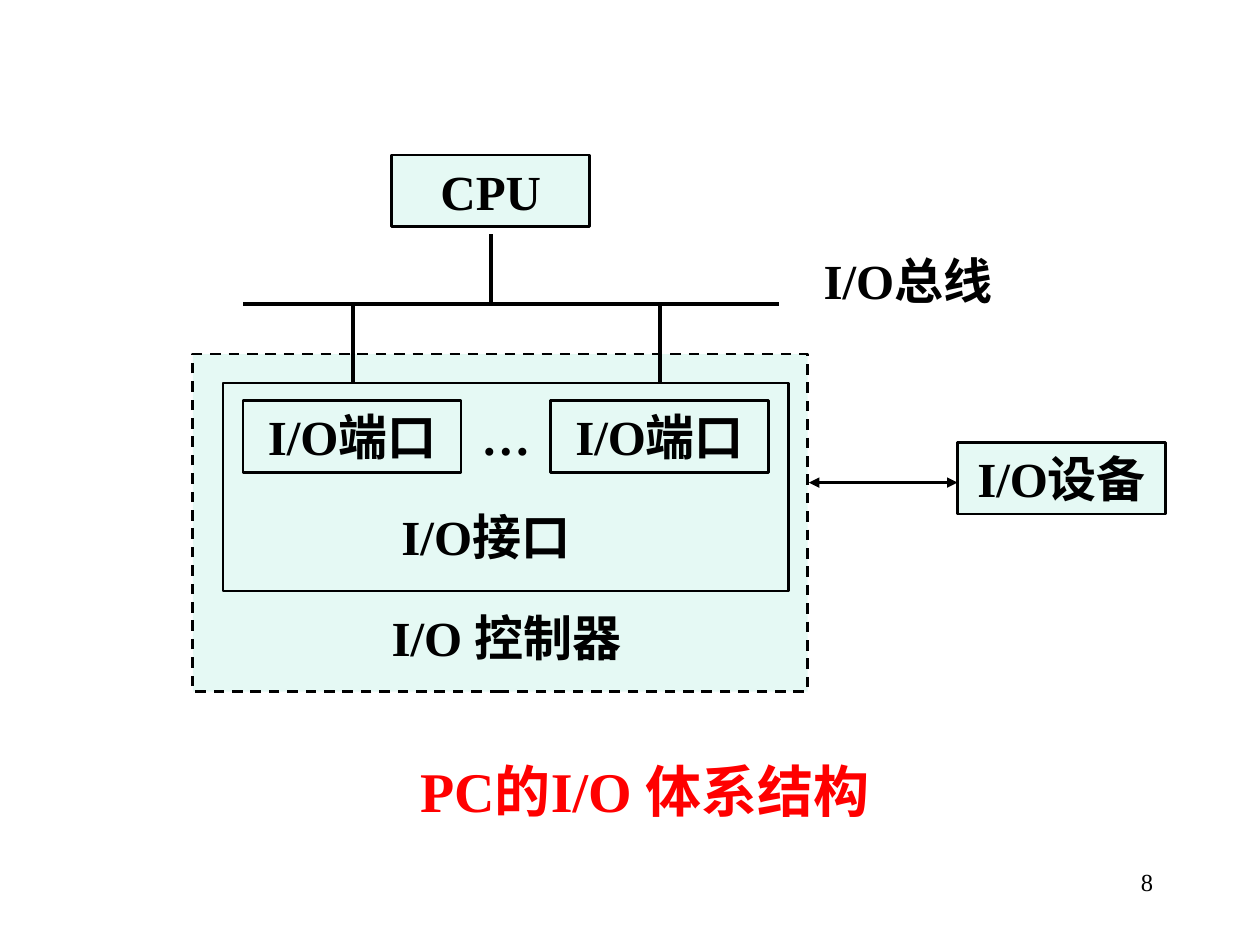
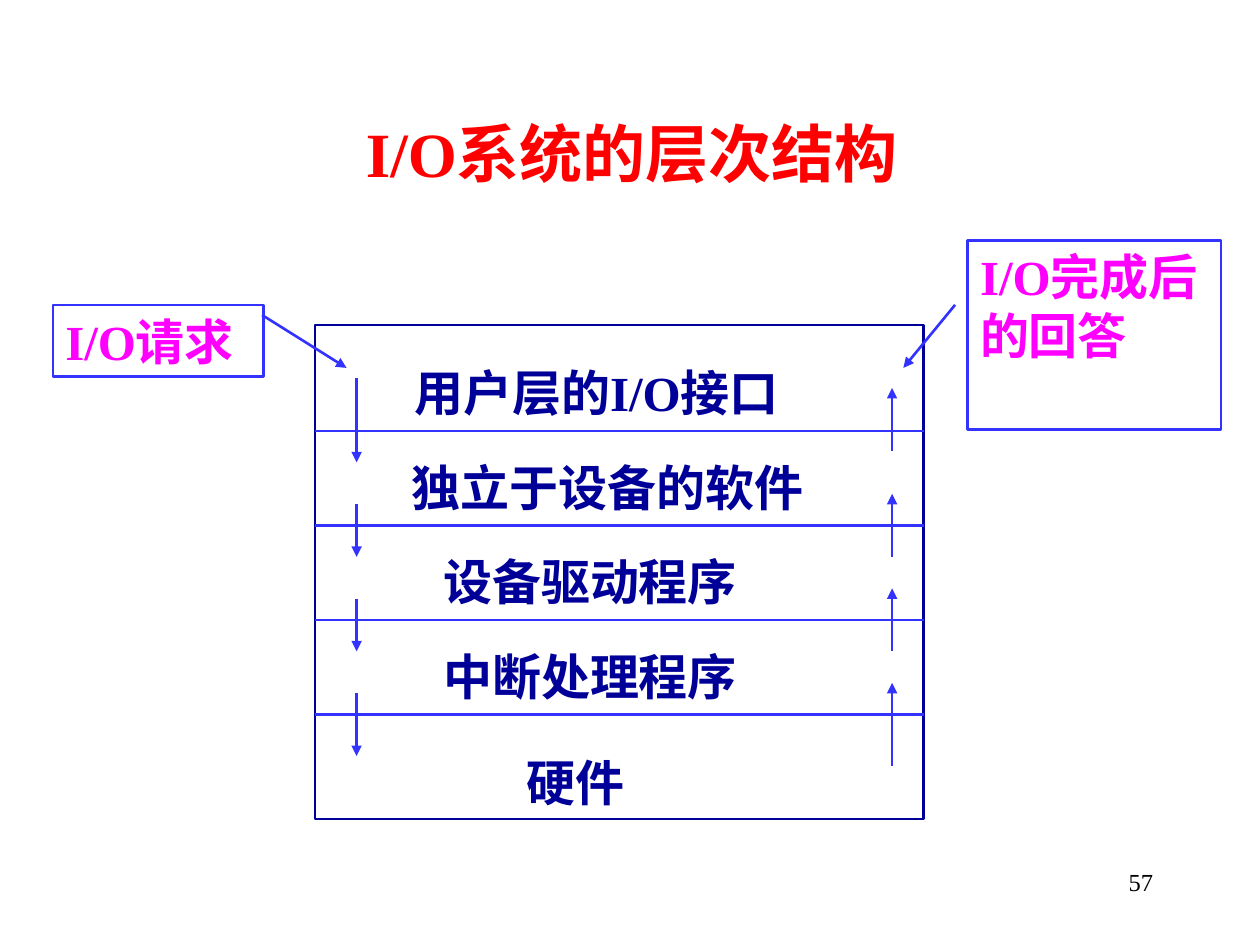
from pptx import Presentation
from pptx.dml.color import RGBColor as Color
from pptx.enum.dml import MSO_LINE_DASH_STYLE as Dash
from pptx.enum.shapes import MSO_CONNECTOR_TYPE as Link, MSO_SHAPE as Preset
from pptx.enum.text import MSO_ANCHOR as Anchor, MSO_AUTO_SIZE as Fit, PP_ALIGN as Align
from pptx.oxml.ns import qn
from pptx.util import Pt
from lxml.etree import SubElement

PX = 9144
COLORS = {
    "black": "000000",
    "white": "FFFFFF",
    "mint": "00CC99",
    "red": "FF0000",
    "navy": "000099",
    "blue": "3333FF",
    "magenta": "FF00FF",
}
MARGINS = {"margin_left": 10, "margin_right": 10, "margin_top": 5, "margin_bottom": 5}
TITLE_ONLY = 5


def color(name):
    return Color.from_string(COLORS[name])


class Sketch:
    font_format = {"name": "Times New Roman", "size": Pt(28), "bold": True}

    def __init__(self, width, height):
        self.deck = Presentation()
        self.deck.slide_width, self.deck.slide_height = width * PX, height * PX
        self.page = None

    def new_page(self, number):
        layout = self.deck.slide_layouts[TITLE_ONLY]
        self.page = self.deck.slides.add_slide(layout)
        self.label(str(number), (717, 683, 208, 50), align=Align.RIGHT,
                   fit=Fit.NONE, size=Pt(14), bold=False)

    def fill_text(self, box, text, ink="black", align=Align.CENTER, anchor=Anchor.TOP,
                  fit=Fit.SHAPE_TO_FIT_TEXT, **changes):
        frame = box.text_frame
        frame.text = text
        frame_format = {"word_wrap": True, "auto_size": fit, "vertical_anchor": anchor}
        frame_format.update({side: gap * PX for side, gap in MARGINS.items()})
        for key, value in frame_format.items():
            setattr(frame, key, value)
        for para in frame.paragraphs:
            para.alignment = align
            for span in para.runs:
                for key, value in {**self.font_format, **changes}.items():
                    setattr(span.font, key, value)
                span.font.color.rgb = color(ink)

    def title(self, text, place, size, indent=10):
        box = self.page.shapes.title
        for key, value in zip(("left", "top", "width", "height"), place):
            setattr(box, key, value * PX)
        self.fill_text(box, text, "red", anchor=Anchor.MIDDLE, fit=Fit.NONE, size=Pt(size))
        box.text_frame.margin_left = indent * PX

    def label(self, text, place, ink="black", **changes):
        box = self.page.shapes.add_textbox(*(value * PX for value in place))
        self.fill_text(box, text, ink, **changes)

    def box(self, place, text="", fill=None, opacity=100, line="black", dash=None,
            **changes):
        box = self.page.shapes.add_shape(Preset.RECTANGLE, *(value * PX for value in place))
        box.shadow.inherit = False
        if fill:
            box.fill.solid()
            box.fill.fore_color.rgb = color(fill)
            tone = box._element.spPr.find(qn("a:solidFill"))[0]
            SubElement(tone, qn("a:alpha"), val=str(opacity * 1000))
        else:
            box.fill.background()
        box.line.color.rgb = color(line)
        box.line.width = Pt(1.5)
        if dash:
            box.line.dash_style = dash
        if text:
            self.fill_text(box, text, **changes)

    def line(self, start, end, ink="blue", width=1.5, arrows=()):
        link = self.page.shapes.add_connector(
            Link.STRAIGHT, *(value * PX for value in (*start, *end)))
        link.line.color.rgb = color(ink)
        link.line.width = Pt(width)
        outline = link._element.spPr.find(qn("a:ln"))
        for end_name in arrows:
            SubElement(outline, qn(f"a:{end_name}"), type="triangle")
        SubElement(link._element.spPr, qn("a:effectLst"))


def draw_architecture(sketch):
    sketch.new_page(8)
    tint = {"fill": "mint", "opacity": 10}
    sketch.box((153, 281, 488, 268), dash=Dash.DASH, **tint)
    sketch.box((311, 123, 157, 57), "CPU", **tint)
    for port_left in (193, 437):
        sketch.box((port_left, 318, 173, 57), "I/O端口")
    sketch.box((760, 351, 165, 57), "I/O设备", **tint)

    for text, place in (
        ("I/O接口", (303, 397, 165, 57)),
        ("…", (366, 318, 71, 57)),
        ("I/O 控制器", (280, 477, 244, 57)),
        ("I/O总线", (634, 194, 173, 57)),
    ):
        sketch.label(text, place)

    bus = 241
    for start, end in (
        ((193, bus), (618, bus)),
        ((280, bus), (280, 304)),
        ((524, bus), (524, 304)),
        ((390, 186), (390, bus)),
    ):
        sketch.line(start, end, "black", 2.25)
    sketch.box((177, 304, 449, 165))
    sketch.line((760, 383), (642, 383), "black", arrows=("headEnd", "tailEnd"))
    sketch.title("PC的I/O 体系结构", (272, 595, 480, 64), 32)


def draw_layers(sketch):
    sketch.new_page(57)
    sketch.title("I/O系统的层次结构", (83, 75, 825, 92), 36, indent=22)

    left, right, first_divider, pitch = 250, 733, 342, 75
    sketch.box((left, 258, right - left, 392), fill="white", line="navy")
    for row in range(4):
        divider = first_divider + row * pitch
        sketch.line((left, divider), (right, divider))

    for text, place in (
        ("用户层的I/O接口", (319, 283, 331, 57)),
        ("独立于设备的软件", (317, 358, 357, 57)),
        ("设备驱动程序", (342, 433, 276, 57)),
        ("中断处理程序", (342, 508, 284, 57)),
        ("硬件", (408, 592, 139, 57)),
    ):
        sketch.label(text, place, "navy", align=Align.LEFT)

    requests = ((300, 367), (400, 442), (475, 517), (550, 600))
    replies = ((608, 542), (517, 467), (442, 392), (358, 308))
    for across, steps in ((283, requests), (708, replies)):
        for start, end in steps:
            sketch.line((across, start), (across, end), arrows=("tailEnd",))

    for text, place, start, end in (
        ("I/O请求", (42, 242, 167, 57), (208, 250), (275, 292)),
        ("I/O完成后\n的回答", (768, 191, 201, 150), (758, 242), (717, 292)),
    ):
        sketch.box(place, text, line="blue", ink="magenta", align=Align.LEFT)
        sketch.line(start, end, arrows=("tailEnd",))


def main():
    sketch = Sketch(1000, 750)
    draw_architecture(sketch)
    draw_layers(sketch)
    sketch.deck.save("out.pptx")


if __name__ == "__main__":
    main()
